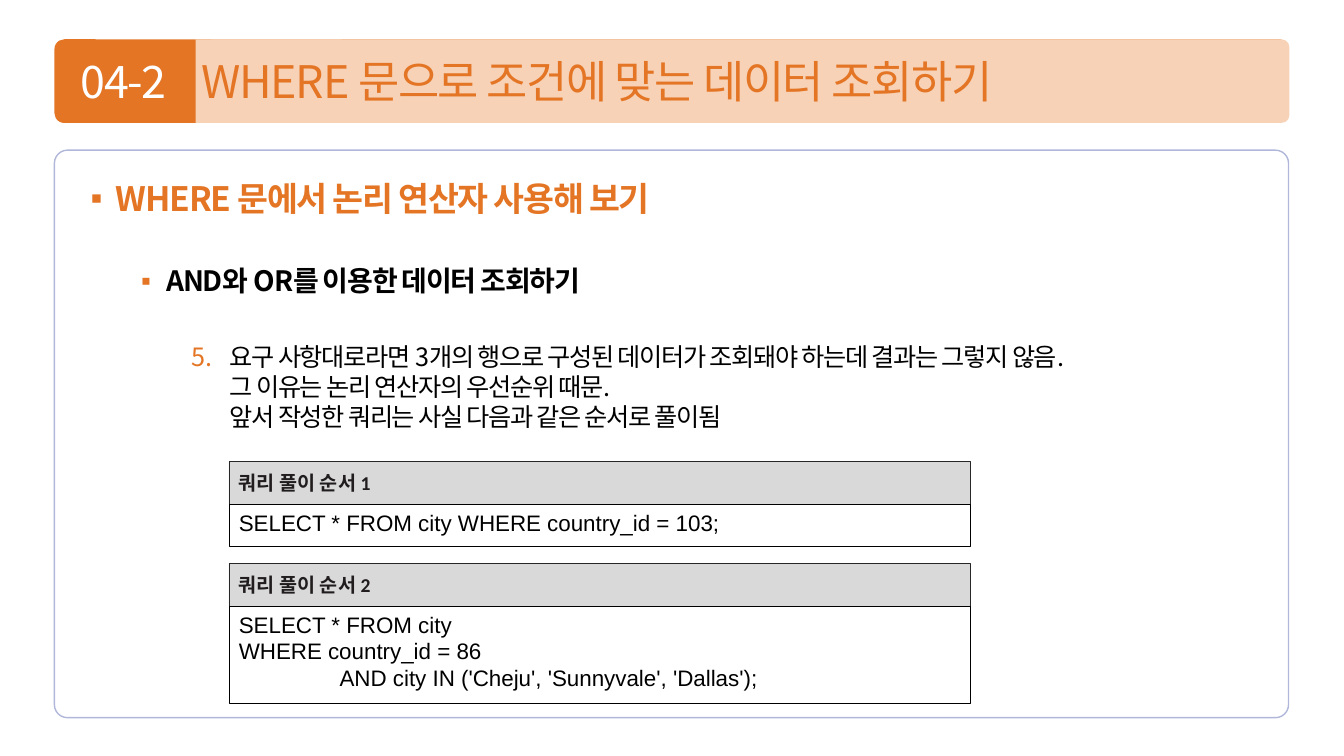
from copy import deepcopy
from dataclasses import dataclass

from lxml.etree import SubElement
from pptx import Presentation
from pptx.dml.color import RGBColor
from pptx.enum.shapes import MSO_SHAPE as Preset
from pptx.enum.text import MSO_ANCHOR as Anchor, MSO_AUTO_SIZE as AutoSize, PP_ALIGN as Align
from pptx.oxml.ns import qn
from pptx.util import Inches, Pt


@dataclass(frozen=True)
class Theme:
    accent: str = "E47525"
    band: str = "F7D2B7"
    panel_line: str = "B0B7DA"
    caption_fill: str = "D9D9D9"
    caption_line: str = "262626"
    caption_text: str = "211D1E"
    black: str = "000000"
    white: str = "FFFFFF"
    korean: str = "Noto Sans CJK KR"
    caption_font: str = "Calibri"
    code_font: str = "Arial"
    bullet_font: str = "Arial"
    title_size: int = 32
    heading_size: int = 24
    topic_size: int = 20
    detail_size: int = 18
    caption_size: int = 14
    code_size: int = 16


THEME = Theme()
CODE_LEFT, CODE_WIDTH, CAPTION_HEIGHT = 2.27, 7.35, 0.42

OUTLINE = [
    ("WHERE 문에서 논리 연산자 사용해 보기", 0, THEME.heading_size, THEME.accent, True,
     0, 0.25, 0.25, None),
    ("AND와 OR를 이용한 데이터 조회하기", 1, THEME.topic_size, THEME.black, True,
     33, 0.75, 0.25, None),
    ("요구 사항대로라면 3개의 행으로 구성된 데이터가 조회돼야 하는데 결과는 그렇지 않음.\v"
     "그 이유는 논리 연산자의 우선순위 때문.\v"
     "앞서 작성한 쿼리는 사실 다음과 같은 순서로 풀이됨", 2, THEME.detail_size, THEME.black, False,
     31, 1.38, 0.38, 5),
]

QUERIES = [
    ("쿼리 풀이 순서 1", 4.58, 0.42, "SELECT * FROM city WHERE country_id = 103;"),
    ("쿼리 풀이 순서 2", 5.59, 0.97,
     "SELECT * FROM city\nWHERE country_id = 86\n"
     "\tAND city IN ('Cheju', 'Sunnyvale', 'Dallas');"),
]


def place(item, left, top, width, height):
    item.left, item.top = Inches(left), Inches(top)
    item.width, item.height = Inches(width), Inches(height)


def style_run(run, font, size, color, bold=False, spacing=0):
    run.font.name = font
    run.font.size = Pt(size)
    run.font.bold = bold
    run.font.color.rgb = RGBColor.from_string(color)
    if spacing:
        run.font._element.set("spc", str(round(spacing * 100)))


def add_tab_stop(paragraph, position):
    tabs = SubElement(paragraph._p.get_or_add_pPr(), qn("a:tabLst"))
    SubElement(tabs, qn("a:tab"), pos=str(Inches(position)), algn="l")


def add_box(slide, preset, bounds, fill=None, line=None, line_width=1, corner=None):
    box = slide.shapes.add_shape(preset, *map(Inches, bounds))
    box.shadow.inherit = False
    if corner is not None:
        box.adjustments[0] = corner
    if fill:
        box.fill.solid()
        box.fill.fore_color.rgb = RGBColor.from_string(fill)
    else:
        box.fill.background()
    if line:
        box.line.color.rgb = RGBColor.from_string(line)
        box.line.width = Pt(line_width)
    else:
        box.line.fill.background()
    return box


def write_box(box, text, font, size, color, anchor, bold=False):
    frame = box.text_frame
    frame.word_wrap = True
    frame.vertical_anchor = anchor
    frame.text = text
    for paragraph in frame.paragraphs:
        paragraph.alignment = Align.JUSTIFY
        if paragraph.text.startswith("\t"):
            add_tab_stop(paragraph, 1)
        for run in paragraph.runs:
            style_run(run, font, size, color, bold)


def add_frame(slide):
    add_box(slide, Preset.ROUNDED_RECTANGLE, (0.54, 1.49, 12.24, 5.63),
            line=THEME.panel_line, corner=0.023)
    add_box(slide, Preset.ROUNDED_RECTANGLE, (0.54, 0.39, 12.24, 0.83),
            fill=THEME.accent, corner=0.118)
    add_box(slide, Preset.ROUNDED_RECTANGLE, (2.03, 0.39, 10.76, 0.83),
            fill=THEME.band, corner=0.097)
    add_box(slide, Preset.RECTANGLE, (1.94, 0.39, 1.45, 0.83), fill=THEME.band)


def set_bullet(paragraph, indent, hanging, start):
    properties = paragraph._p.get_or_add_pPr()
    properties.set("marL", str(Inches(indent)))
    properties.set("indent", str(-Inches(hanging)))
    color = SubElement(properties, qn("a:buClr"))
    SubElement(color, qn("a:srgbClr"), val=THEME.accent)
    font = THEME.korean if start else THEME.bullet_font
    SubElement(properties, qn("a:buFont"), typeface=font)
    if start:
        SubElement(properties, qn("a:buAutoNum"), type="arabicPeriod", startAt=str(start))
    else:
        SubElement(properties, qn("a:buChar"), char="▪")


def fill_outline(body):
    place(body, 0.8, 1.71, 11.73, 5.27)
    frame = body.text_frame
    frame.auto_size = AutoSize.NONE
    for number, (text, level, size, color, bold, before, indent, hanging, start) in enumerate(OUTLINE):
        paragraph = frame.add_paragraph() if number else frame.paragraphs[0]
        paragraph.text = text
        paragraph.level = level
        set_bullet(paragraph, indent, hanging, start)
        paragraph.space_before = Pt(before)
        paragraph.line_spacing = 1.0
        for run in paragraph.runs:
            style_run(run, THEME.korean, size, color, bold, -0.9)
        for line_break in paragraph._p.findall(qn("a:br")):
            line_break.append(deepcopy(paragraph.runs[0].font._element))


def fill_title(title):
    place(title, 0.7, 0.51, 11.51, 0.61)
    frame = title.text_frame
    frame.auto_size = AutoSize.NONE
    frame.vertical_anchor = Anchor.BOTTOM
    paragraph = frame.paragraphs[0]
    paragraph.alignment = Align.LEFT
    paragraph.line_spacing = 0.9
    add_tab_stop(paragraph, 1.2)
    for text, color in (("04-2\t", THEME.white),
                        ("WHERE 문으로 조건에 맞는 데이터 조회하기", THEME.accent)):
        run = paragraph.add_run()
        run.text = text
        style_run(run, THEME.korean, THEME.title_size, color, spacing=-1)


def add_query(slide, caption, top, code_height, code):
    header = add_box(slide, Preset.RECTANGLE, (CODE_LEFT, top, CODE_WIDTH, CAPTION_HEIGHT),
                     THEME.caption_fill, THEME.caption_line, 0.25)
    write_box(header, caption, THEME.caption_font, THEME.caption_size,
              THEME.caption_text, Anchor.MIDDLE, bold=True)
    listing = add_box(slide, Preset.RECTANGLE,
                      (CODE_LEFT, top + CAPTION_HEIGHT, CODE_WIDTH, code_height),
                      line=THEME.black, line_width=0.25)
    write_box(listing, code, THEME.code_font, THEME.code_size, THEME.black, Anchor.TOP)


def main():
    deck = Presentation()
    deck.slide_width, deck.slide_height = Inches(13.33), Inches(7.5)
    slide = deck.slides.add_slide(deck.slide_layouts[1])
    title, body = slide.shapes.title, slide.placeholders[1]
    add_frame(slide)
    for placeholder in (body, title):
        slide.shapes._spTree.append(placeholder._element)
    fill_outline(body)
    fill_title(title)
    for query in QUERIES:
        add_query(slide, *query)
    deck.save("out.pptx")


if __name__ == "__main__":
    main()
